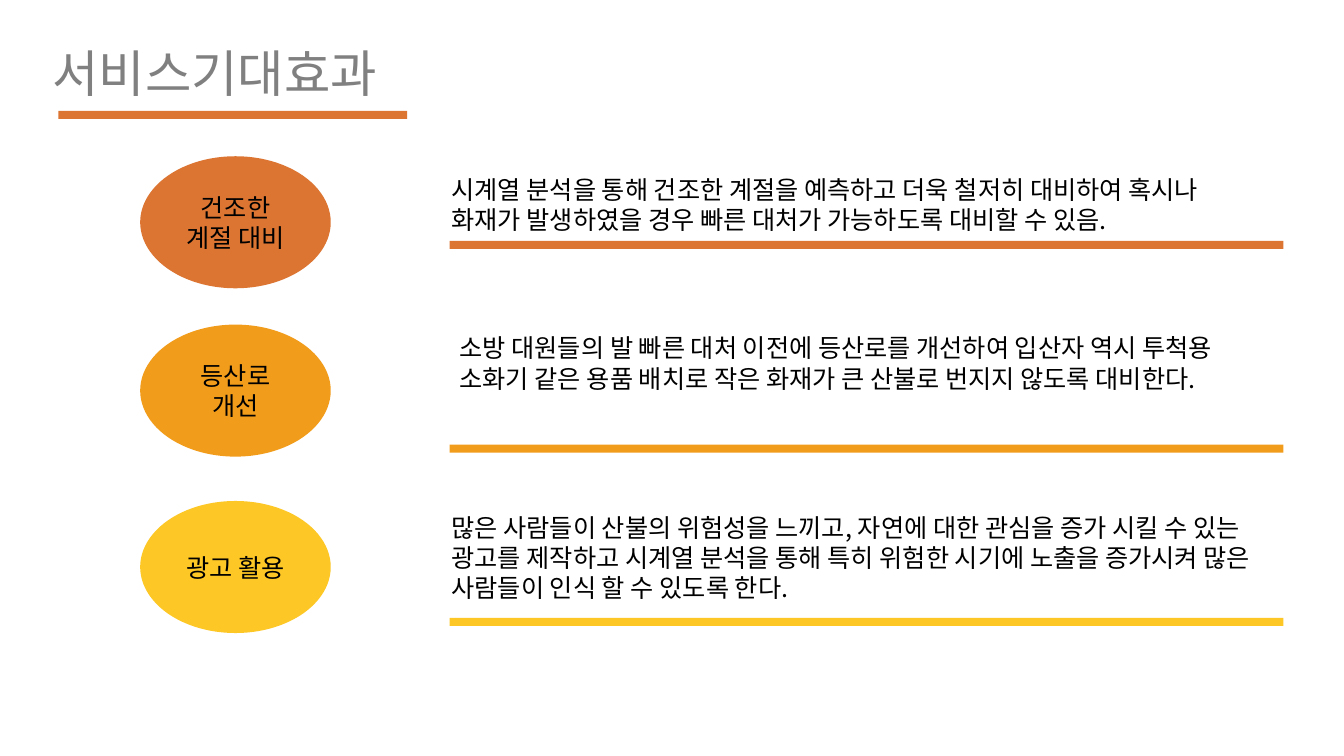
from dataclasses import dataclass

from lxml.etree import SubElement
from pptx import Presentation
from pptx.dml.color import RGBColor
from pptx.enum.shapes import MSO_SHAPE as Preset
from pptx.enum.text import MSO_ANCHOR as Anchor, MSO_AUTO_SIZE as AutoSize, PP_ALIGN as Align
from pptx.oxml.ns import qn
from pptx.shapes.autoshape import Shape
from pptx.slide import Slide
from pptx.text.text import _Paragraph as Paragraph
from pptx.util import Inches, Pt

FONT = "Noto Sans CJK KR"
BLACK = RGBColor(0x00, 0x00, 0x00)
GRAY = RGBColor(0x80, 0x80, 0x80)
ORANGE = RGBColor(0xDC, 0x75, 0x32)
AMBER = RGBColor(0xF2, 0x9C, 0x1B)
YELLOW = RGBColor(0xFD, 0xC7, 0x25)

BAR_HEIGHT = 0.08
OVAL_LEFT, OVAL_WIDTH, OVAL_HEIGHT = 1.39, 1.89, 1.31
RULE_LEFT, RULE_WIDTH = 4.46, 8.27


@dataclass
class Box:
    left: float
    top: float
    width: float
    height: float

    def lengths(self) -> tuple[Inches, ...]:
        return tuple(Inches(n) for n in (self.left, self.top, self.width, self.height))


@dataclass
class Effect:
    color: RGBColor
    label: list[str]
    oval_top: float
    description: str
    description_box: Box
    rule_top: float


EFFECTS = [
    Effect(
        ORANGE, ["건조한", "계절 대비"], 1.55,
        "시계열 분석을 통해 건조한 계절을 예측하고 더욱 철저히 대비하여 혹시나 "
        "화재가 발생하였을 경우 빠른 대처가 가능하도록 대비할 수 있음.",
        Box(4.38, 1.68, 8.27, 0.71), 2.39,
    ),
    Effect(
        AMBER, ["등산로 개선"], 3.22,
        "소방 대원들의 발 빠른 대처 이전에 등산로를 개선하여 입산자 역시 투척용 "
        "소화기 같은 용품 배치로 작은 화재가 큰 산불로 번지지 않도록 대비한다.",
        Box(4.46, 3.25, 8.11, 1.31), 4.41,
    ),
    Effect(
        YELLOW, ["광고 활용"], 4.97,
        "많은 사람들이 산불의 위험성을 느끼고, 자연에 대한 관심을 증가 시킬 수 있는 "
        "광고를 제작하고 시계열 분석을 통해 특히 위험한 시기에 노출을 증가시켜 많은 "
        "사람들이 인식 할 수 있도록 한다.",
        Box(4.38, 5.03, 8.35, 1.31), 6.13,
    ),
]


def add_text(paragraph: Paragraph, text: str, size: int = 18, color: RGBColor = BLACK) -> None:
    run = paragraph.add_run()
    run.text = text
    run.font.size = Pt(size)
    run.font.color.rgb = color
    run.font.name = FONT
    # Korean letters take the East Asian typeface
    SubElement(run.font._element, qn("a:ea"), typeface=FONT)


def add_filled(slide: Slide, preset: Preset, box: Box, color: RGBColor) -> Shape:
    shape = slide.shapes.add_shape(preset, *box.lengths())
    shape.shadow.inherit = False
    shape.fill.solid()
    shape.fill.fore_color.rgb = color
    shape.line.fill.background()
    return shape


def add_textbox(slide: Slide, box: Box) -> Shape:
    shape = slide.shapes.add_textbox(*box.lengths())
    shape.text_frame.word_wrap = True
    return shape


def add_title(slide: Slide, text: str) -> None:
    add_filled(slide, Preset.RECTANGLE, Box(0.58, 1.1, 3.46, BAR_HEIGHT), ORANGE)
    frame = add_textbox(slide, Box(0.52, 0.39, 7.09, 0.65)).text_frame
    frame.vertical_anchor = Anchor.MIDDLE
    frame.margin_left, frame.margin_top = Inches(0), Inches(0.28)
    frame.margin_right, frame.margin_bottom = Inches(0.1), Inches(0.12)
    frame.paragraphs[0].line_spacing = Pt(32)
    add_text(frame.paragraphs[0], text, 36, GRAY)


def add_effect(slide: Slide, effect: Effect) -> None:
    # Oval with its label
    oval_box = Box(OVAL_LEFT, effect.oval_top, OVAL_WIDTH, OVAL_HEIGHT)
    frame = add_filled(slide, Preset.OVAL, oval_box, effect.color).text_frame
    frame.vertical_anchor = Anchor.MIDDLE
    for index, line in enumerate(effect.label):
        paragraph = frame.add_paragraph() if index else frame.paragraphs[0]
        paragraph.alignment = Align.CENTER
        add_text(paragraph, line)

    # Description above its rule
    frame = add_textbox(slide, effect.description_box).text_frame
    frame.auto_size = AutoSize.SHAPE_TO_FIT_TEXT
    add_text(frame.paragraphs[0], effect.description)
    rule_box = Box(RULE_LEFT, effect.rule_top, RULE_WIDTH, BAR_HEIGHT)
    add_filled(slide, Preset.RECTANGLE, rule_box, effect.color)


def main() -> None:
    presentation = Presentation()
    presentation.slide_width, presentation.slide_height = Inches(13.33), Inches(7.5)
    slide = presentation.slides.add_slide(presentation.slide_layouts[6])
    add_title(slide, "서비스기대효과")
    for effect in EFFECTS:
        add_effect(slide, effect)
    presentation.save("out.pptx")


if __name__ == "__main__":
    main()
